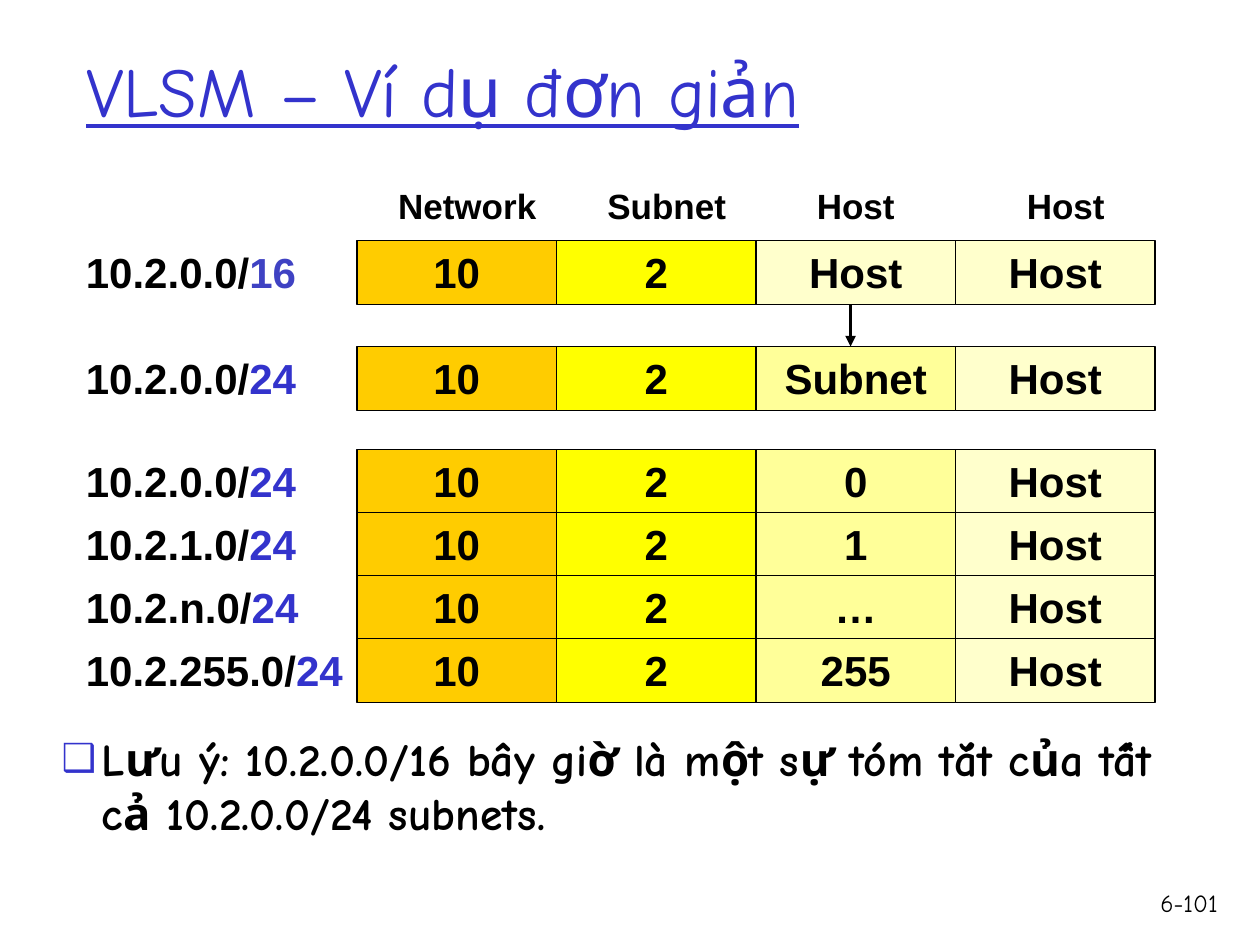
from lxml import etree
from pptx import Presentation
from pptx.dml.color import RGBColor
from pptx.enum.shapes import MSO_CONNECTOR, MSO_SHAPE
from pptx.enum.text import MSO_ANCHOR, MSO_AUTO_SIZE, PP_ALIGN
from pptx.oxml.ns import qn
from pptx.util import Pt

LEFT, CENTER, RIGHT = PP_ALIGN.LEFT, PP_ALIGN.CENTER, PP_ALIGN.RIGHT
TOP, MIDDLE = MSO_ANCHOR.TOP, MSO_ANCHOR.MIDDLE
NO_FIT = MSO_AUTO_SIZE.NONE
RECT, STRAIGHT = MSO_SHAPE.RECTANGLE, MSO_CONNECTOR.STRAIGHT

THEME = {
    "heading_font": "Comic Neue", "grid_font": "Arial",
    "title_size": 40, "body_size": 26, "grid_size": 24, "head_size": 20, "page_size": 14,
    "text": "000000", "accent": "3333CC", "first_prefix": "3F42C3",
    "network": "FFCC00", "subnet": "FFFF00", "split": "FFFF99", "host": "FFFFCC",
}

TITLE = "VLSM – Ví dụ đơn giản"
NOTE = "Lưu ý: 10.2.0.0/16 bây giờ là một sự tóm tắt của tất cả 10.2.0.0/24 subnets."
PAGE = "6-101"
HEADERS = [("Network", 210), ("Subnet", 324), ("Host", 432), ("Host", 552)]
GROUPS = [
    (137.5, "host", "first_prefix", [("10.2.0.0/", "16", "Host")]),
    (198, "split", "accent", [("10.2.0.0/", "24", "Subnet")]),
    (257, "split", "accent", [
        ("10.2.0.0/", "24", "0"),
        ("10.2.1.0/", "24", "1"),
        ("10.2.n.0/", "24", "…"),
        ("10.2.255.0/", "24", "255"),
    ]),
]
LABEL_X, GRID_X, COL_W, ROW_STEP, CELL_H = 42, 204, 114, 36, 36.5
ARROW_X = 486


def color(name):
    return RGBColor.from_string(THEME[name])


def place(s, x, y, w, h):
    s.left, s.top, s.width, s.height = Pt(x), Pt(y), Pt(w), Pt(h)


def write(s, runs, size, font, align=LEFT, bold=False, anchor=TOP):
    tf = s.text_frame
    tf.word_wrap = True
    tf.auto_size = NO_FIT
    tf.vertical_anchor = anchor
    p = tf.paragraphs[0]
    p.alignment = align
    p.space_before = Pt(0)
    for text, tint in runs:
        r = p.add_run()
        r.text = text
        r.font.size, r.font.name, r.font.bold = Pt(THEME[size]), THEME[font], bold
        r.font.color.rgb = color(tint)
    return p


def add_text(shapes, box, *args, **kwargs):
    s = shapes.add_textbox(*map(Pt, box))
    write(s, *args, **kwargs)


def add_cell(shapes, x, y, text, fill):
    s = shapes.add_shape(RECT, Pt(x), Pt(y), Pt(COL_W), Pt(CELL_H))
    s.shadow.inherit = False
    s.fill.solid()
    s.fill.fore_color.rgb = color(fill)
    s.line.color.rgb = color("text")
    s.line.width = Pt(0.75)
    write(s, [(text, "text")], "grid_size", "grid_font", CENTER, True)


def add_arrow(shapes, x, y1, y2):
    s = shapes.add_connector(STRAIGHT, Pt(x), Pt(y1), Pt(x), Pt(y2))
    s.line.color.rgb = color("text")
    s.line.width = Pt(2)
    etree.SubElement(s.line._get_or_add_ln(), qn("a:tailEnd"), type="triangle")
    etree.SubElement(s._element.spPr, qn("a:effectLst"))


def add_bullet(p):
    pPr = p._p.get_or_add_pPr()
    pPr.set("marL", str(Pt(23)))
    pPr.set("indent", str(-Pt(23)))
    clr = etree.SubElement(pPr, qn("a:buClr"))
    etree.SubElement(clr, qn("a:srgbClr"), val=THEME["accent"])
    etree.SubElement(pPr, qn("a:buSzPct"), val="85000")
    etree.SubElement(pPr, qn("a:buChar"), char="❑")


def main():
    prs = Presentation()
    prs.slide_width, prs.slide_height = Pt(720), Pt(540)
    slide = prs.slides.add_slide(prs.slide_layouts[1])
    shapes = slide.shapes

    title, body = slide.placeholders
    place(title, 42, 6, 612, 90)
    p = write(title, [(TITLE, "accent")], "title_size", "heading_font", anchor=MIDDLE)
    p.runs[0].font.underline = True
    place(body, 28, 414, 662, 107)
    p = write(body, [(NOTE, "text")], "body_size", "heading_font", bold=True)
    add_bullet(p)

    for text, x in HEADERS:
        add_text(shapes, (x, 102, COL_W, 31), [(text, "text")],
                 "head_size", "grid_font", CENTER, True)

    for top, third_fill, prefix_tint, rows in GROUPS:
        fills = ["network", "subnet", third_fill, "host"]
        for i, (address, prefix, third) in enumerate(rows):
            y = top + i * ROW_STEP
            add_text(shapes, (LABEL_X, y, GRID_X - LABEL_X, CELL_H),
                     [(address, "text"), (prefix, prefix_tint)],
                     "grid_size", "grid_font", bold=True)
            for col, (text, fill) in enumerate(zip(["10", "2", third, "Host"], fills)):
                add_cell(shapes, GRID_X + col * COL_W, y, text, fill)

    add_arrow(shapes, ARROW_X, GROUPS[0][0] + CELL_H, GROUPS[1][0])
    add_text(shapes, (654, 504, 49, 36), [(PAGE, "text")], "page_size", "heading_font", RIGHT)
    prs.save("out.pptx")


if __name__ == "__main__":
    main()
